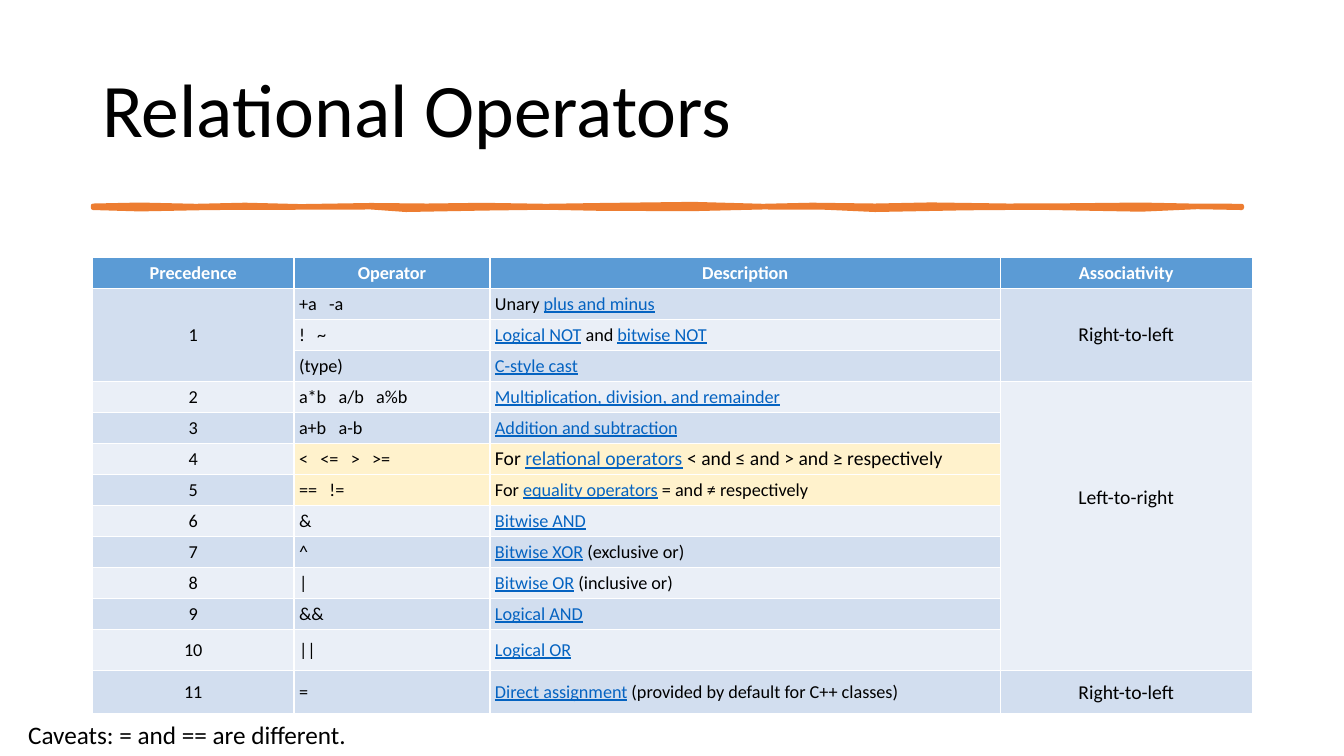
from dataclasses import dataclass

from pptx import Presentation
from pptx.dml.color import RGBColor
from pptx.enum.text import MSO_ANCHOR, PP_ALIGN
from pptx.util import Pt


@dataclass(frozen=True)
class Theme:
    """Colours, font and type sizes of the slide."""
    font: str = "Calibri"
    text: str = "000000"
    link: str = "0563C1"
    white: str = "FFFFFF"
    rule: str = "ED7D31"
    header: str = "5B9BD5"
    dark_band: str = "D2DEEF"
    light_band: str = "EAEFF7"
    highlight: str = "FFF2CC"
    title_size: float = 54
    caveat_size: float = 18
    large_size: float = 14
    cell_size: float = 13


theme = Theme()


def write(frame, text, size, color=theme.text, bold=False):
    """Write one paragraph; parts between underscores look like links."""
    paragraph = frame.paragraphs[0]
    for index, part in enumerate(text.split("_")):
        if not part:
            continue
        linked = index % 2 == 1
        run = paragraph.add_run()
        run.text = part
        run.font.name = theme.font
        run.font.size = Pt(size)
        run.font.bold = bold
        run.font.underline = linked
        run.font.color.rgb = RGBColor.from_string(theme.link if linked else color)
    return paragraph


def fill_cell(cell, text, fill, size=theme.cell_size, centred=False, **style):
    """Set fill, margins and text of a table cell."""
    cell.fill.solid()
    cell.fill.fore_color.rgb = RGBColor.from_string(fill)
    cell.vertical_anchor = MSO_ANCHOR.MIDDLE
    cell.margin_left = cell.margin_right = Pt(3.6)
    cell.margin_top = cell.margin_bottom = Pt(1.5)
    paragraph = write(cell.text_frame, text, size, **style)
    paragraph.alignment = PP_ALIGN.CENTER if centred else PP_ALIGN.LEFT


deck = Presentation()
deck.slide_width, deck.slide_height = Pt(960), Pt(540)
slide = deck.slides.add_slide(deck.slide_layouts[6])

# Title
title = slide.shapes.add_textbox(Pt(66), Pt(28.8), Pt(828), Pt(104.4)).text_frame
title.word_wrap = True
title.vertical_anchor = MSO_ANCHOR.MIDDLE
write(title, "Relational Operators", theme.title_size).line_spacing = 0.9

# Hand-drawn rule: upper edge left to right, lower edge back again
upper_edge = [
    (66.5, 147), (100, 146.3), (140, 147.2), (175, 146.4), (215, 147.4),
    (265, 146.6), (305, 147), (345, 146.5), (390, 147.2), (430, 146.6),
    (495, 145.8), (545, 147.2), (580, 146.4), (625, 147), (665, 146.2),
    (720, 147), (765, 146.8), (815, 146.3), (850, 147), (887, 147.2),
]
lower_edge = [
    (887, 148.4), (855, 147.8), (815, 149.6), (740, 148.2), (690, 148.6),
    (625, 149.8), (590, 148.2), (545, 148), (495, 149.2), (430, 149),
    (390, 148.2), (345, 148.8), (290, 149.8), (265, 148), (210, 148.2),
    (150, 148.4), (100, 149.4), (66.5, 148.4),
]
outline = slide.shapes.build_freeform(Pt(66.5), Pt(147), scale=1.0)
outline.add_line_segments([(Pt(x), Pt(y)) for x, y in upper_edge[1:] + lower_edge])
rule = outline.convert_to_shape()
rule.shadow.inherit = False
rule.fill.solid()
rule.fill.fore_color.rgb = RGBColor.from_string(theme.rule)
rule.line.color.rgb = RGBColor.from_string(theme.rule)
rule.line.width = Pt(3.25)

# Operator table
headings = ["Precedence", "Operator", "Description", "Associativity"]
operators = [
    ("1", ["+a", "-a"], "Unary _plus and minus_"),
    ("", ["!", "~"], "_Logical NOT_ and _bitwise NOT_"),
    ("", ["(type)"], "_C-style cast_"),
    ("2", ["a*b", "a/b", "a%b"], "_Multiplication, division, and remainder_"),
    ("3", ["a+b", "a-b"], "_Addition and subtraction_"),
    ("4", ["<", "<=", ">", ">="],
     "For _relational operators_ < and ≤ and > and ≥ respectively"),
    ("5", ["==", "!="], "For _equality operators_ = and ≠ respectively"),
    ("6", ["&"], "_Bitwise AND_"),
    ("7", ["^"], "_Bitwise XOR_ (exclusive or)"),
    ("8", ["|"], "_Bitwise OR_ (inclusive or)"),
    ("9", ["&&"], "_Logical AND_"),
    ("10", ["||"], "_Logical OR_"),
    ("11", ["="], "_Direct assignment_ (provided by default for C++ classes)"),
]
associativity = [(1, 3, "Right-to-left"), (4, 12, "Left-to-right"), (13, 13, "Right-to-left")]
column_widths = [144, 140, 364.5, 180]
row_heights = [22.14] * 12 + [29.4, 31]
operator_gap = "\u00a0\u00a0 "
highlighted = ("4", "5")

table = slide.shapes.add_table(
    len(row_heights), len(column_widths), Pt(66), Pt(184),
    Pt(sum(column_widths)), Pt(sum(row_heights))).table
for column, width in zip(table.columns, column_widths):
    column.width = Pt(width)
for row, height in zip(table.rows, row_heights):
    row.height = Pt(height)

for column, heading in enumerate(headings):
    fill_cell(table.cell(0, column), heading, theme.header,
              centred=True, color=theme.white, bold=True)

for row, (precedence, symbols, description) in enumerate(operators, start=1):
    band = theme.dark_band if row % 2 else theme.light_band
    operator_fill = theme.highlight if precedence in highlighted else band
    description_size = theme.large_size if precedence == "4" else theme.cell_size
    fill_cell(table.cell(row, 0), precedence, band, centred=True)
    fill_cell(table.cell(row, 1), operator_gap.join(symbols), operator_fill)
    fill_cell(table.cell(row, 2), description, operator_fill, description_size)
table.cell(1, 0).merge(table.cell(3, 0))

for first, last, direction in associativity:
    band = theme.dark_band if first % 2 else theme.light_band
    cell = table.cell(first, 3)
    fill_cell(cell, direction, band, theme.large_size, centred=True)
    if last > first:
        cell.merge(table.cell(last, 3))
# The long group's label sits a little above the middle
table.cell(4, 3).margin_bottom = Pt(42)

# Caveat
caveat = slide.shapes.add_textbox(Pt(13), Pt(510.5), Pt(480), Pt(29)).text_frame
caveat.word_wrap = True
write(caveat, "Caveats: = and == are different.", theme.caveat_size)

deck.save("out.pptx")
